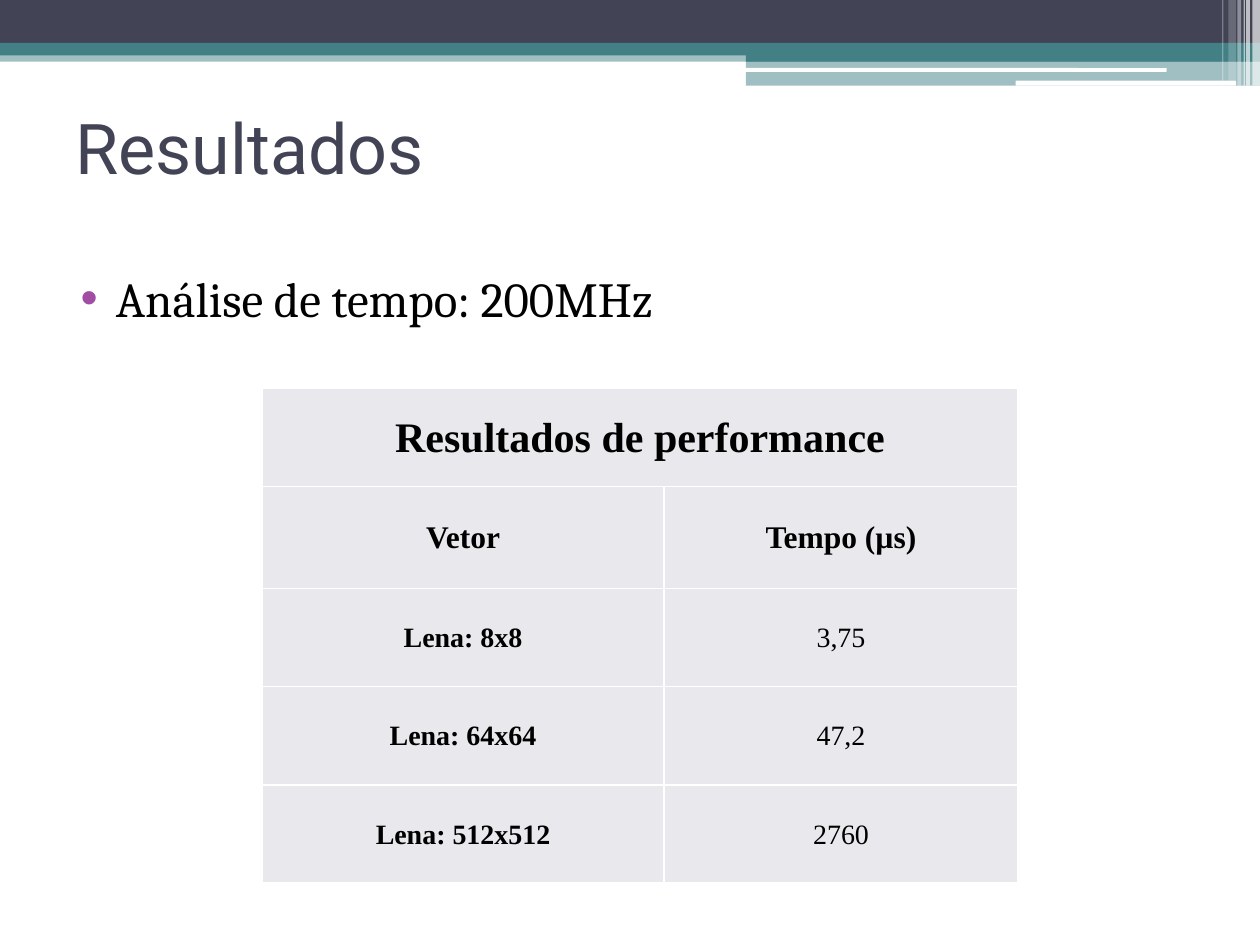
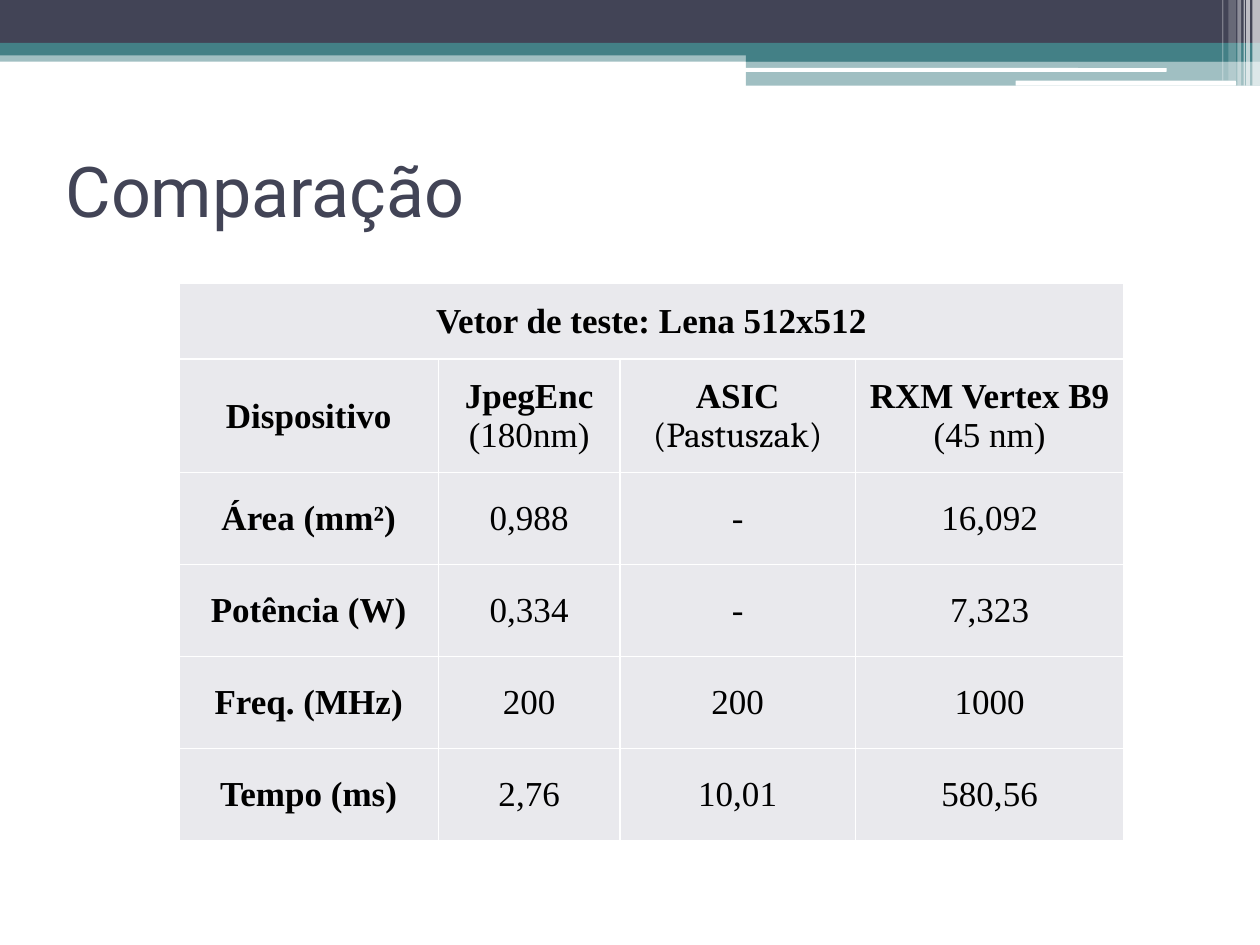
from dataclasses import dataclass, field

from lxml.etree import SubElement
from pptx import Presentation
from pptx.dml.color import RGBColor
from pptx.enum.shapes import MSO_SHAPE as Preset
from pptx.enum.text import MSO_ANCHOR as Anchor, PP_ALIGN as Align
from pptx.oxml import parse_xml
from pptx.oxml.ns import nsdecls, qn
from pptx.util import Inches, Pt

COLORS = {
    "navy": "424456",
    "teal": "438086",
    "white": "FFFFFF",
    "black": "000000",
    "bullet": "A04DA3",
    "cell": "E9E9ED",
}
TITLE_FONT, BODY_FONT, TABLE_FONT = "Roboto", "Cambria", "Times New Roman"


@dataclass
class Band:
    left: float
    top: float
    width: float
    height: float
    color: str
    opacity: int = 100
    preset: Preset = Preset.RECTANGLE


@dataclass
class ResultTable:
    left: float
    top: float
    col_widths: list[float]
    row_heights: list[float]
    caption: str
    rows: list[list[str]]
    caption_size: int
    header_size: int
    value_size: int
    font_overrides: dict[str, str] = field(default_factory=dict)


HEADER_BANDS = [
    Band(0, 0.4, 10, 0.09, "teal", 50),
    Band(0, 0, 10, 0.34, "navy"),
    Band(0, 0.34, 10, 0.1, "teal"),
    Band(5.92, 0.39, 4.08, 0.1, "teal"),
    Band(5.92, 0.48, 4.08, 0.2, "teal", 50),
    Band(5.91, 0.54, 3.35, 0.03, "white", preset=Preset.ROUNDED_RECTANGLE),
    Band(8.06, 0.64, 1.75, 0.04, "white", preset=Preset.ROUNDED_RECTANGLE),
    Band(9.94, 0, 0.06, 0.68, "white", 65),
    Band(9.89, 0, 0.03, 0.68, "white", 65),
    Band(9.87, 0, 0.01, 0.68, "white", 60),
    Band(9.82, 0, 0.03, 0.68, "white", 40),
    Band(9.75, 0, 0.06, 0.64, "white", 20),
    Band(9.7, 0, 0.01, 0.64, "white", 30),
]

PERFORMANCE = ResultTable(
    left=2.08, top=3.08,
    col_widths=[3.19, 2.81],
    row_heights=[0.78, 0.81] + [0.78] * 3,
    caption="Resultados de performance",
    rows=[
        ["Vetor", "Tempo (µs)"],
        ["Lena: 8x8", "3,75"],
        ["Lena: 64x64", "47,2"],
        ["Lena: 512x512", "2760"],
    ],
    caption_size=24, header_size=18, value_size=16,
)

COMPARISON = ResultTable(
    left=1.42, top=2.25,
    col_widths=[2.06, 1.44, 1.87, 2.13],
    row_heights=[0.6, 0.9] + [0.73] * 4,
    caption="Vetor de teste: Lena 512x512",
    rows=[
        ["Dispositivo", "JpegEnc\n(180nm)", "ASIC\n(Pastuszak)", "RXM Vertex B9\n(45 nm)"],
        ["Área (mm²)", "0,988", "-", "16,092"],
        ["Potência (W)", "0,334", "-", "7,323"],
        ["Freq. (MHz)", "200", "200", "1000"],
        ["Tempo (ms)", "2,76", "10,01", "580,56"],
    ],
    caption_size=20, header_size=20, value_size=20,
    font_overrides={"(Pastuszak)": BODY_FONT},
)


def rgb(color: str) -> RGBColor:
    return RGBColor.from_string(COLORS[color])


def style_font(paragraph, name: str, size: int, color: str, bold: bool = False) -> None:
    font = paragraph.font
    font.name, font.size, font.bold = name, Pt(size), bold
    font.color.rgb = rgb(color)


def place(shape, left: float, top: float, width: float, height: float) -> None:
    shape.left, shape.top = Inches(left), Inches(top)
    shape.width, shape.height = Inches(width), Inches(height)


def add_bands_to_master(master, slide) -> None:
    """Draw the header bands on a slide, then move them to the shared master."""
    for number, band in enumerate(HEADER_BANDS):
        strip = slide.shapes.add_shape(
            band.preset, Inches(band.left), Inches(band.top),
            Inches(band.width), Inches(band.height))
        strip.shadow.inherit = False
        strip.line.fill.background()
        strip.fill.solid()
        strip.fill.fore_color.rgb = rgb(band.color)
        if band.opacity < 100:
            srgb = strip.element.spPr.find(".//" + qn("a:srgbClr"))
            SubElement(srgb, qn("a:alpha"), val=str(band.opacity * 1000))
        strip.element.nvSpPr.cNvPr.set("id", str(100 + number))
        master.shapes.element.append(strip.element)


def set_title(slide, text: str, left: float, top: float) -> None:
    title = slide.shapes.title
    place(title, left, top, 9, 1.17)
    title.text_frame.text = text
    title.text_frame.vertical_anchor = Anchor.MIDDLE
    heading = title.text_frame.paragraphs[0]
    heading.alignment = Align.LEFT
    style_font(heading, TITLE_FONT, 40, "navy")


def set_bullet(slide, text: str) -> None:
    body = slide.placeholders[1]
    place(body, 0.42, 2.08, 9, 4.73)
    body.text_frame.text = text
    item = body.text_frame.paragraphs[0]
    item.space_before = Pt(3)
    style_font(item, BODY_FONT, 28, "black")
    properties = item._p.get_or_add_pPr()
    properties.set("marL", str(Inches(0.4)))
    properties.set("indent", str(Inches(-0.28)))
    marks = (f'<a:buClr {nsdecls("a")}><a:srgbClr val="{COLORS["bullet"]}"/></a:buClr>',
             f'<a:buFont {nsdecls("a")} typeface="Arial"/>',
             f'<a:buChar {nsdecls("a")} char="•"/>')
    following = properties.find(qn("a:defRPr"))
    for mark in marks:
        if following is None:
            properties.append(parse_xml(mark))
        else:
            following.addprevious(parse_xml(mark))


def style_cell(cell) -> None:
    cell.fill.solid()
    cell.fill.fore_color.rgb = rgb("cell")
    cell.vertical_anchor = Anchor.MIDDLE
    cell.margin_left = cell.margin_right = cell.margin_top = Inches(0.01)
    cell.margin_bottom = 0
    properties = cell._tc.get_or_add_tcPr()
    for position, side in enumerate(("lnL", "lnR", "lnT", "lnB")):
        properties.insert(position, parse_xml(
            f'<a:{side} {nsdecls("a")} w="{Pt(1)}"><a:solidFill>'
            f'<a:srgbClr val="{COLORS["white"]}"/></a:solidFill></a:{side}>'))


def add_result_table(slide, data: ResultTable) -> None:
    grid = slide.shapes.add_table(
        len(data.row_heights), len(data.col_widths),
        Inches(data.left), Inches(data.top),
        Inches(sum(data.col_widths)), Inches(sum(data.row_heights))).table
    grid.first_row = grid.horz_banding = False
    for column, width in zip(grid.columns, data.col_widths):
        column.width = Inches(width)
    for row, height in zip(grid.rows, data.row_heights):
        row.height = Inches(height)
    for cell in grid.iter_cells():
        style_cell(cell)
    grid.cell(0, 0).merge(grid.cell(0, len(data.col_widths) - 1))

    sizes = [data.caption_size, data.header_size]
    sizes += [data.value_size] * (len(data.rows) - 1)
    for r, (texts, size) in enumerate(zip([[data.caption], *data.rows], sizes)):
        for c, text in enumerate(texts):
            frame = grid.cell(r, c).text_frame
            frame.text = text
            for n, line in enumerate(frame.paragraphs):
                line.alignment = Align.CENTER
                is_heading = n == 0 and (r < 2 or c == 0)
                font_name = data.font_overrides.get(line.text, TABLE_FONT)
                style_font(line, font_name, size, "black", is_heading)


def main() -> None:
    deck = Presentation()
    deck.slide_width, deck.slide_height = Inches(10), Inches(7.5)
    title_and_content, title_only = deck.slide_layouts[1], deck.slide_layouts[5]

    results = deck.slides.add_slide(title_and_content)
    add_bands_to_master(deck.slide_master, results)
    set_title(results, "Resultados", 0.5, 0.58)
    set_bullet(results, "Análise de tempo: 200MHz")
    add_result_table(results, PERFORMANCE)

    comparison = deck.slides.add_slide(title_only)
    set_title(comparison, "Comparação", 0.42, 0.92)
    add_result_table(comparison, COMPARISON)

    deck.save("out.pptx")


if __name__ == "__main__":
    main()
